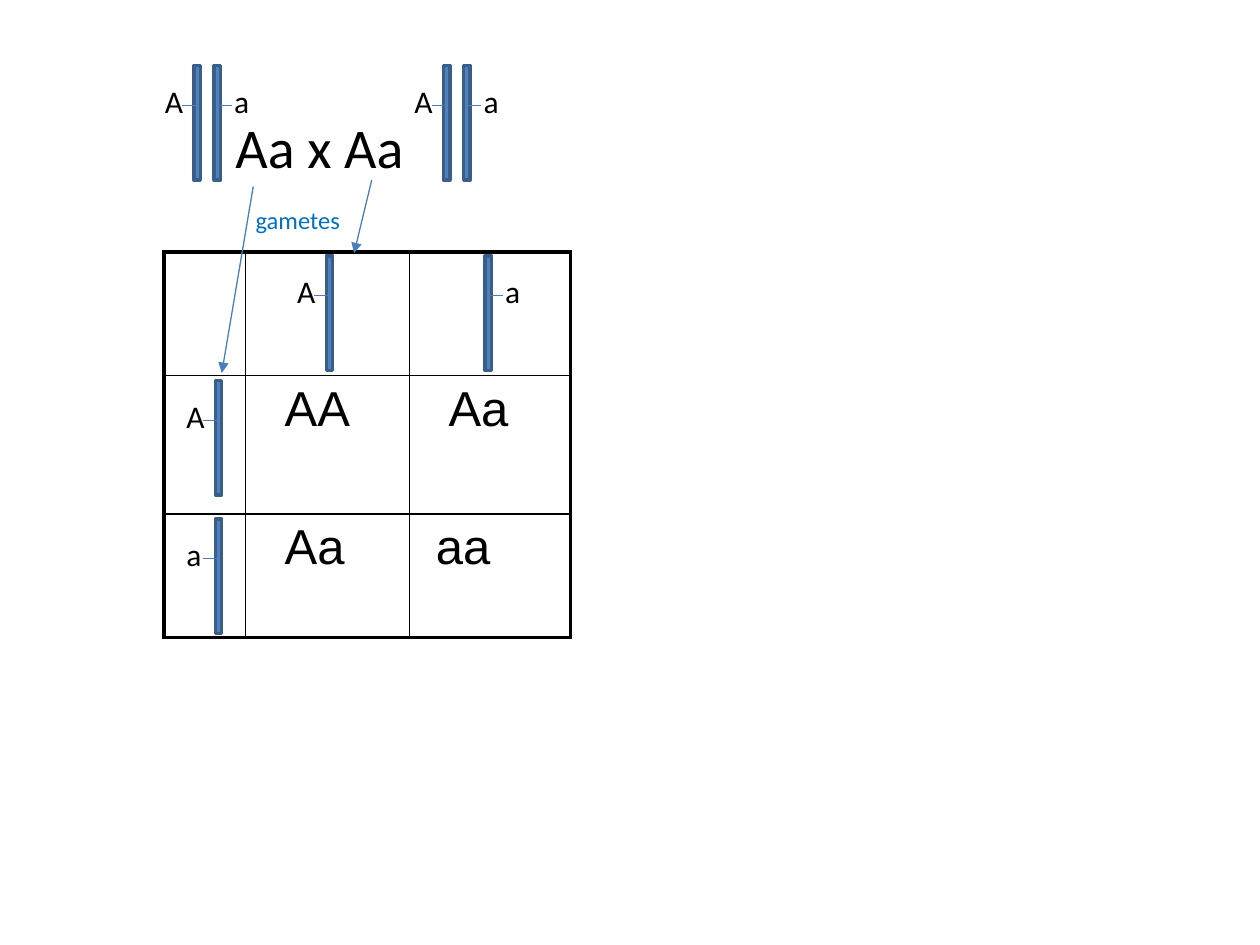
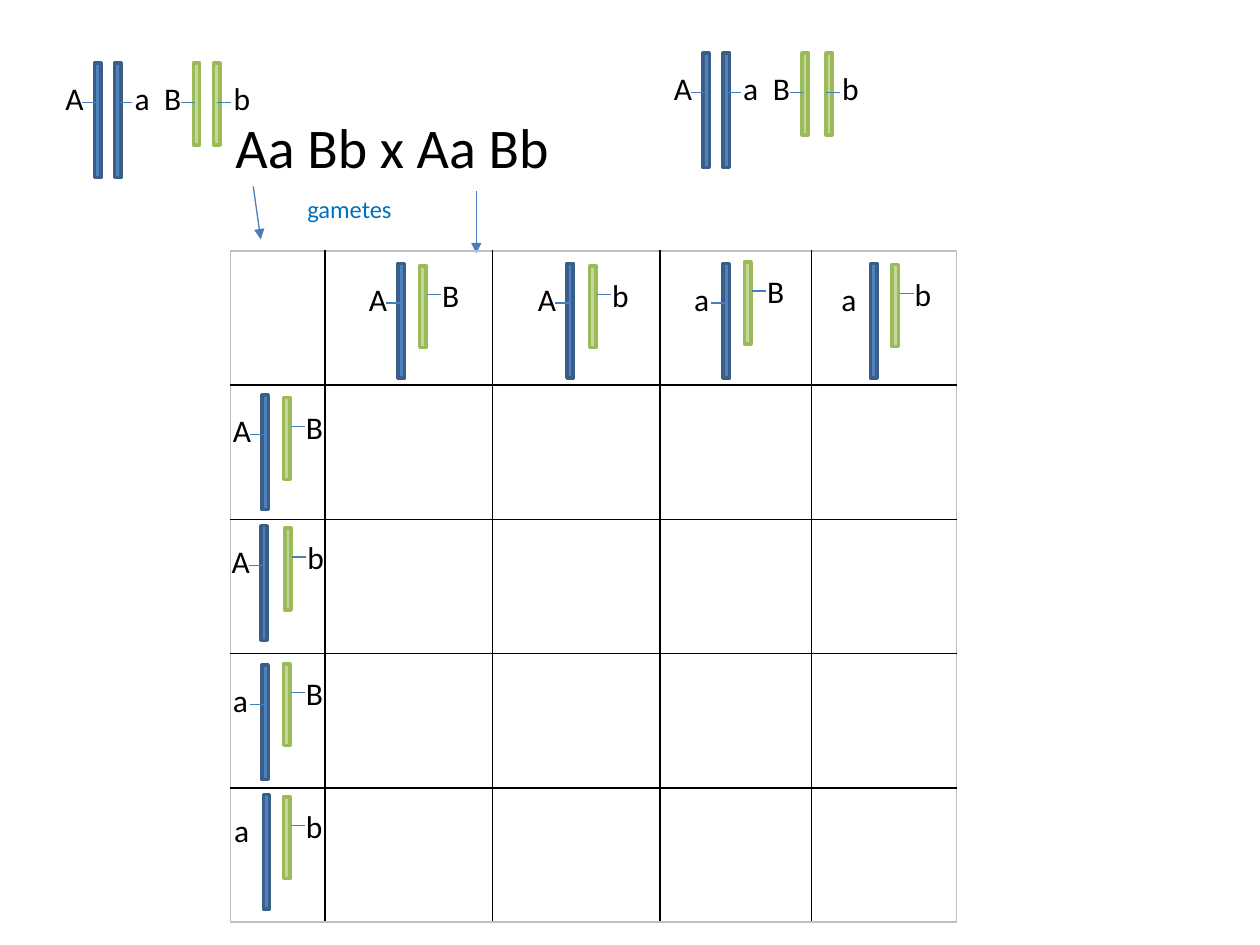
from dataclasses import dataclass

from lxml.etree import SubElement
from pptx import Presentation
from pptx.dml.color import RGBColor as Rgb
from pptx.enum.shapes import MSO_CONNECTOR as Conn, MSO_SHAPE as Shape
from pptx.oxml.ns import qn
from pptx.util import Inches, Pt

# Every length counts cells of a grid, 100 columns by 75 rows
COLS, ROWS = 100, 75
CELL = Inches(10) // COLS


@dataclass(frozen=True)
class Theme:
    font: str = "Calibri"
    grid_font: str = "Arial"
    ink: str = "000000"
    note: str = "0070C0"
    wire: str = "4A7DBA"
    pale: str = "BFBFBF"
    blue: tuple = ("4F81BD", "395E89")
    green: tuple = ("C3D69B", "9BBB59")
    title_pt: float = 32
    grid_pt: float = 28
    gene_pt: float = 18
    note_pt: float = 14
    wire_pt: float = 0.75
    bar_pt: float = 2


@dataclass(frozen=True)
class Box:
    x: float
    y: float
    w: float = 0
    h: float = 0

    def sub(self, dx, dy, w=0, h=0):
        return Box(self.x + dx, self.y + dy, w, h)

    def emu(self):
        return [size(v) for v in (self.x, self.y, self.w, self.h)]


@dataclass(frozen=True)
class Gamete:
    genes: str
    dx: float          # place of the first bar in its cell
    dy: float
    gap: float = 1.7   # from the first bar to the second
    drop: float = 0.2
    side: str = "left"


THEME = Theme()
BAR_W, BLUE_H, GREEN_H = 0.5, 9.1, 6.5
PAIR_GAP = 1.6


def size(cells):
    return round(cells * CELL)


def write(frame, text, pt, color, font):
    run = frame.paragraphs[0].add_run()
    run.text = text
    run.font.size, run.font.name = Pt(pt), font
    run.font.color.rgb = Rgb.from_string(color)


def label(slide, box, text, pt, color=THEME.ink):
    frame = slide.shapes.add_textbox(*box.emu()).text_frame
    frame.word_wrap = False
    write(frame, text, pt, color, THEME.font)


def wire(slide, start, end, arrow=False):
    ends = [size(v) for v in (*start, *end)]
    line = slide.shapes.add_connector(Conn.STRAIGHT, *ends)
    line.line.color.rgb = Rgb.from_string(THEME.wire)
    line.line.width = Pt(THEME.wire_pt)
    if arrow:
        SubElement(line.line._get_or_add_ln(), qn("a:tailEnd"), type="triangle")
    SubElement(line._element.spPr, qn("a:effectLst"))


# Chromosomes

def bar(slide, box, gene):
    """One chromosome: blue and long for gene A, green and short for gene B."""
    is_blue = gene in "Aa"
    tall = BLUE_H if is_blue else GREEN_H
    shape = slide.shapes.add_shape(
        Shape.RECTANGLE, *box.sub(0, 0, BAR_W, tall).emu())
    shape.shadow.inherit = False
    fill, edge = THEME.blue if is_blue else THEME.green
    shape.fill.solid()
    shape.fill.fore_color.rgb = Rgb.from_string(fill)
    shape.line.color.rgb = Rgb.from_string(edge)
    shape.line.width = Pt(THEME.bar_pt)


def tag(slide, box, gene, side, tick=True):
    """The letter of a gene and its tick, beside the bar that starts at box."""
    # tick start, tick height, letter place
    tick_x, tick_y, text_x, text_y = {
        "left": (-0.95, 3.15, -3.3, 0.8),
        "right": (0.3, 3.15, 0.6, 0.8),
        "high": (0.6, 2.3, 0.8, 0.3),
    }[side]
    if tick:
        spot = box.sub(tick_x, tick_y)
        wire(slide, (spot.x, spot.y), (spot.x + 1.1, spot.y))
    label(slide, box.sub(text_x, text_y, 3.5, 4), gene, THEME.gene_pt)


def pair(slide, box, genes, gap=PAIR_GAP):
    """Two like chromosomes, with letters on their outer sides."""
    left, right = genes
    bar(slide, box, left)
    bar(slide, box.sub(gap, 0), right)
    tag(slide, box, left, "left")
    tag(slide, box.sub(PAIR_GAP, 0), right, "right")


def draw_gamete(slide, box, gamete):
    """One chromosome, or a blue and a green one, inside a cell of the grid."""
    first, *rest = gamete.genes
    spot = box.sub(gamete.dx, gamete.dy)
    bar(slide, spot, first)
    tag(slide, spot, first, gamete.side, tick=gamete.genes != "ab")
    for gene in rest:
        mate = spot.sub(gamete.gap, gamete.drop)
        bar(slide, mate, gene)
        tag(slide, mate, gene, "high")


# Punnett square

def edges(cell, sides):
    props = cell._tc.get_or_add_tcPr()
    for name, (color, pt) in zip("LRTB", sides):
        line = SubElement(props, qn("a:ln" + name), w=str(Pt(pt)))
        fill = SubElement(line, qn("a:solidFill"))
        SubElement(fill, qn("a:srgbClr"), val=color)
    cell.fill.background()


def square(slide, box, cols, rows, rim, tops, sides, results=()):
    """The table, its gametes along the top and side, and its results."""
    area = box.sub(0, 0, sum(cols), sum(rows))
    table = slide.shapes.add_table(len(rows), len(cols), *area.emu()).table
    table.first_row = table.horz_banding = False
    for col, wide in zip(table.columns, cols):
        col.width = size(wide)
    for row, high in zip(table.rows, rows):
        row.height = size(high)

    inner = (THEME.ink, 1)
    for r in range(len(rows)):
        for c in range(len(cols)):
            outer = (c == 0, c == len(cols) - 1, r == 0, r == len(rows) - 1)
            edges(table.cell(r, c), [rim if out else inner for out in outer])

    for r, c, text, indent in results:
        cell = table.cell(r, c)
        cell.margin_left = size(indent)
        write(cell.text_frame, text, THEME.grid_pt, THEME.ink, THEME.grid_font)

    for c, gamete in enumerate(tops, 1):
        draw_gamete(slide, box.sub(sum(cols[:c]), 0), gamete)
    for r, gamete in enumerate(sides, 1):
        draw_gamete(slide, box.sub(0, sum(rows[:r])), gamete)


# Heading

def heading(slide, box, text, note, arrows):
    """The cross, the word below it, and arrows down to the gametes."""
    label(slide, box, text, THEME.title_pt)
    label(slide, box.sub(*note, 8.8, 3.4), "gametes", THEME.note_pt, THEME.note)
    for x1, y1, x2, y2 in arrows:
        start, end = box.sub(x1, y1), box.sub(x2, y2)
        wire(slide, (start.x, start.y), (end.x, end.y), arrow=True)


# Slides

def one_gene(slide):
    square(slide, Box(13, 20), (6.5, 13, 12.8), (9.8, 11, 9.8),
           rim=(THEME.ink, 2.25),
           tops=[Gamete("A", 6.4, 0.3), Gamete("a", 6, 0.3, side="right")],
           sides=[Gamete(gene, 4.1, 0.4) for gene in "Aa"],
           results=[(1, 1, "AA", 3.1), (1, 2, "Aa", 3.1),
                    (2, 1, "Aa", 3.1), (2, 2, "aa", 2.1)])
    heading(slide, Box(17.7, 8.4, 15.5, 6.4), "Aa x Aa", (1.6, 7.4),
            [(11.8, 5.9, 10.4, 11.7), (2.4, 6.4, -0.1, 21.2)])
    for x in (15.4, 35.2):
        pair(slide, Box(x, 5.2), "Aa")


def two_genes(slide):
    heading(slide, Box(17.7, 8.4, 28.9, 6.4), "Aa Bb x Aa Bb", (5.7, 6.5),
            [(20.1, 6.8, 20.1, 11.7), (2.4, 6.4, 3, 10.6)])
    for x, y, gap in ((7.5, 5, 1.6), (55.8, 4.2, 1.9)):
        parent = Box(x, y)
        pair(slide, parent, "Aa")
        pair(slide, parent.sub(7.85, 0), "Bb", gap)
    square(slide, Box(18.3, 19.9), (7.5, 13.3, 13.3, 12, 11.5), (10.66,) * 5,
           rim=(THEME.pale, 1),
           tops=[Gamete("AB", 5.8, 1), Gamete("Ab", 5.9, 1, 1.8),
                 Gamete("aB", 5, 1, 1.7, -0.1), Gamete("ab", 4.7, 1, 1.7, 0.1)],
           sides=[Gamete("AB", 2.5, 0.8), Gamete("Ab", 2.4, 0.5, 1.9),
                  Gamete("aB", 2.5, 0.9, 1.7, -0.1), Gamete("ab", 2.6, 0.5, 1.6)])


def main():
    deck = Presentation()
    deck.slide_width, deck.slide_height = size(COLS), size(ROWS)
    blank = deck.slide_layouts[6]
    for draw in (one_gene, two_genes):
        draw(deck.slides.add_slide(blank))
    deck.save("out.pptx")


if __name__ == "__main__":
    main()
